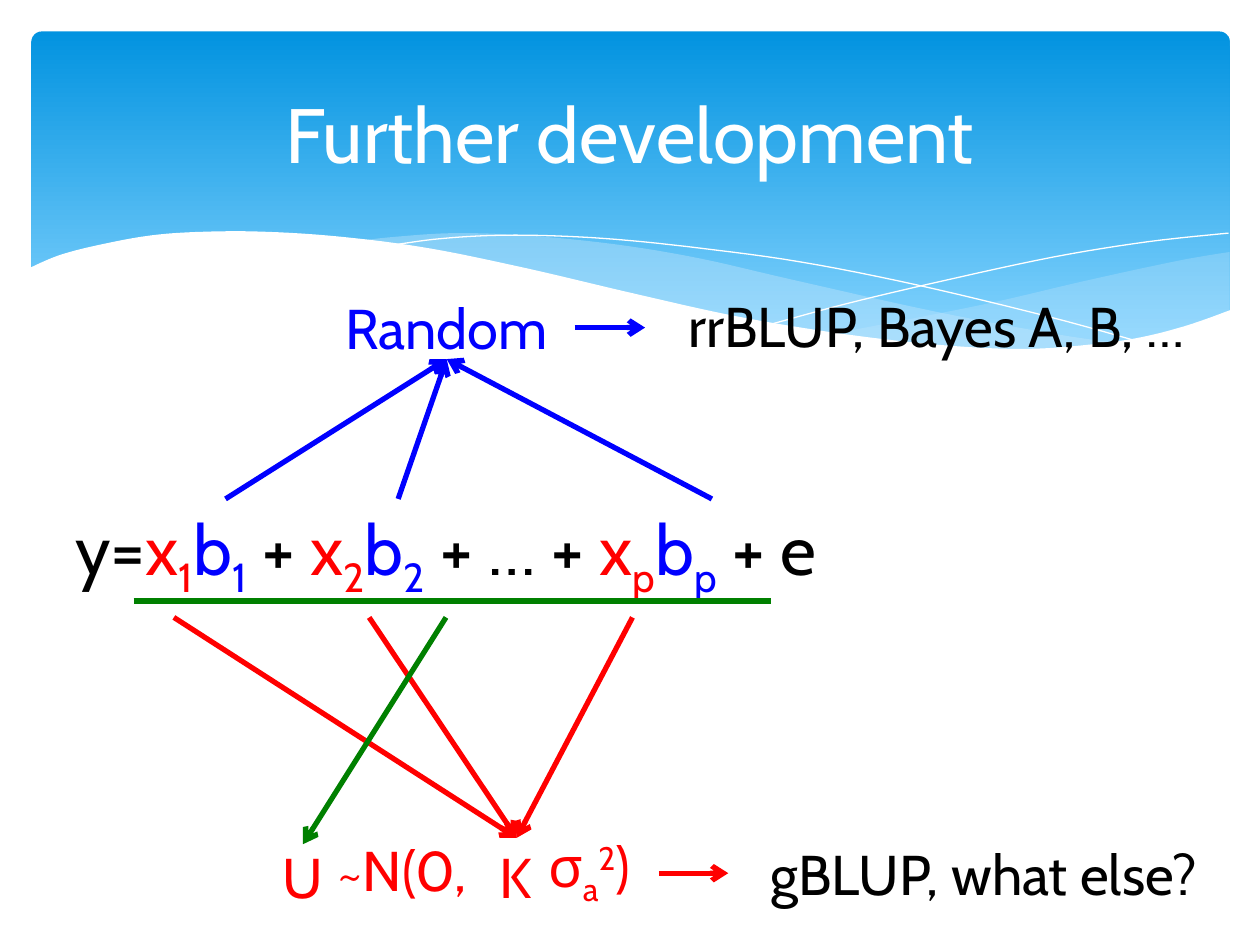
from typing import NamedTuple, Optional

from lxml import etree
from pptx import Presentation
from pptx.dml.color import RGBColor
from pptx.enum.shapes import MSO_CONNECTOR, MSO_SHAPE
from pptx.enum.text import MSO_ANCHOR, PP_ALIGN
from pptx.oxml.ns import qn
from pptx.util import Inches, Pt

STRAIGHT = MSO_CONNECTOR.STRAIGHT
LEFT, CENTER = PP_ALIGN.LEFT, PP_ALIGN.CENTER
TOP, MIDDLE = MSO_ANCHOR.TOP, MSO_ANCHOR.MIDDLE

FONT = "Cabin"
BLACK = RGBColor(0x00, 0x00, 0x00)
WHITE = RGBColor(0xFF, 0xFF, 0xFF)
RED = RGBColor(0xFF, 0x00, 0x00)
BLUE = RGBColor(0x00, 0x00, 0xFF)
GREEN = RGBColor(0x00, 0x80, 0x00)
SKY_DARK = RGBColor(0x02, 0x93, 0xE0)
SKY_LIGHT = RGBColor(0x83, 0xD3, 0xFE)
MIST = RGBColor(0xC6, 0xE7, 0xFC)

# The slide is a grid of 100 columns by 75 rows
COLS, ROWS = 100, 75
CELL = Inches(0.1)
SUB, SUP = -25, 30


class Run(NamedTuple):
    text: str
    color: RGBColor
    baseline: int = 0


class Label(NamedTuple):
    at: tuple  # column, row, columns wide, rows high
    runs: list
    size: int = 32
    align: PP_ALIGN = CENTER
    anchor: MSO_ANCHOR = MIDDLE


class Wave(NamedTuple):
    edges: list  # each edge is a smooth curve through its knots
    fill: Optional[RGBColor] = None
    opacity: int = 100


class Link(NamedTuple):
    start: tuple
    end: tuple
    color: RGBColor
    arrow: bool = True
    target: Optional[str] = None  # label whose top or bottom it reaches
    site: int = 0


def grid(*values: float) -> list:
    return [round(v * CELL) for v in values]


def smooth(knots: list, steps: int = 6) -> list:
    """Points of a Catmull-Rom curve through the knots."""
    ends = [knots[0], *knots, knots[-1]]
    points = [knots[0]]
    for a, b, c, d in zip(ends, ends[1:], ends[2:], ends[3:]):
        for t in (k / steps for k in range(1, steps + 1)):
            points.append(tuple(
                (2 * q + (r - p) * t + (2 * p - 5 * q + 4 * r - s) * t ** 2
                 + (3 * q - p - 3 * r + s) * t ** 3) / 2
                for p, q, r, s in zip(a, b, c, d)))
    return points


def draw_wave(slide, wave: Wave) -> None:
    points = [grid(*pt) for edge in wave.edges for pt in smooth(edge)]
    builder = slide.shapes.build_freeform(*points[0], scale=1.0)
    builder.add_line_segments(points[1:], close=wave.fill is not None)
    sp = builder.convert_to_shape()
    sp.shadow.inherit = False
    if wave.fill is None:
        sp.fill.background()
        sp.line.color.rgb = WHITE
        sp.line.width = Pt(0)
        return
    sp.fill.solid()
    sp.fill.fore_color.rgb = wave.fill
    sp.line.fill.background()
    if wave.opacity < 100:
        color = sp.element.spPr.find(qn("a:solidFill"))[0]
        etree.SubElement(color, qn("a:alpha")).set("val", str(wave.opacity * 1000))


def draw_label(slide, label: Label):
    sp = slide.shapes.add_textbox(*grid(*label.at))
    tf = sp.text_frame
    tf.word_wrap = True
    tf.vertical_anchor = label.anchor
    p = tf.paragraphs[0]
    p.alignment = label.align
    p.font.size, p.font.name = Pt(label.size), FONT
    if len({run.color for run in label.runs}) == 1:
        p.font.color.rgb = label.runs[0].color
    for run in label.runs:
        r = p.add_run()
        r.text = run.text
        r.font.color.rgb = run.color
        if run.baseline:
            r.font._element.set("baseline", str(run.baseline * 1000))
    return sp


def draw_link(slide, link: Link, labels: dict) -> None:
    line = slide.shapes.add_connector(STRAIGHT, *grid(*link.start, *link.end))
    line.line.color.rgb = link.color
    line.line.width = Pt(3)
    if link.target:
        line.end_connect(labels[link.target], link.site)
    if link.arrow:
        etree.SubElement(line.line._get_or_add_ln(), qn("a:tailEnd")).set("type", "arrow")
    etree.SubElement(line.element.spPr, qn("a:effectLst"))


# Header waves, from back to front
WAVES = [
    Wave([[(97.6, 20), (93.5, 20.7), (86.1, 22.3), (77.9, 24.2), (66.1, 26.5)],
          [(66.1, 26.5), (71.9, 27.2), (76.9, 27.7), (81.4, 27.8), (86.3, 27.5),
           (90.5, 26.9), (94.2, 25.9), (97.6, 24.7)]], MIST, 29),
    Wave([[(89.3, 27.3), (83.7, 26.5), (74.1, 24.7), (62.9, 22.2), (55.5, 20.5),
           (48.9, 19.4), (42, 18.7), (36.1, 18.5), (31.3, 18.8), (28.6, 19.1)],
          [(28.6, 19.1), (36.2, 20.3), (44.9, 22.2), (56.6, 24.8), (65, 26.4),
           (72.2, 27.4), (78.5, 27.8), (83.8, 27.8), (89.3, 27.3)]], MIST, 40),
    Wave([[(30.9, 19.5), (34.4, 19), (38.7, 18.7), (43.3, 18.7), (48.9, 19),
           (55.6, 19.7), (63.6, 20.8), (72.7, 22.6), (83.1, 25.1), (90.7, 27.2)]]),
    Wave([[(61.3, 25.7), (67.2, 24.1), (74.8, 22.3), (83.6, 20.4), (91, 19.2),
           (97.5, 18.5)]]),
    Wave([[(2.3, 21.3), (4.6, 20.3), (7.6, 19.5), (11.9, 18.7), (16.1, 18.4),
           (21.1, 18.4), (27.1, 18.8), (34, 19.7), (41.8, 21.3), (50.3, 23.3),
           (57.9, 25), (64.8, 26.2), (70.8, 27), (76.1, 27.5), (80.9, 27.7),
           (85, 27.5), (89.9, 26.9), (94, 25.9), (97.7, 24.6)],
          [(97.7, 32.9)], [(2.3, 32.9)]], WHITE),
]

# Model equation: x and b share each index
TERMS = {i: [Run("x", RED), Run(i, RED, SUB), Run("b", BLUE), Run(i, BLUE, SUB)]
         for i in "12p"}
EQUATION = [Run("y=", BLACK), *TERMS["1"], Run(" + ", BLACK), *TERMS["2"],
            Run(" + … + ", BLACK), *TERMS["p"], Run(" + e", BLACK)]

LABELS = {
    "equation": Label((5, 39.6, 74, 7.7), EQUATION, 40, LEFT, TOP),
    "normal": Label((25.8, 66.5, 12.5, 5), [Run("~N(0,", RED)], align=LEFT),
    "random": Label((19.7, 23.5, 31.5, 5), [Run("Random", BLUE)]),
    "u": Label((20.2, 67, 7.7, 5), [Run("U", RED)]),
    "k": Label((37.4, 67, 7.1, 5), [Run("K", RED)]),
    "variance": Label((41, 66.5, 11.5, 5), [Run("σ", RED), Run("a", RED, SUB),
                                            Run("2", RED, SUP), Run(")", RED)]),
    "marker methods": Label((51, 23.3, 46.7, 5), [Run("rrBLUP, Bayes A, B, …", BLACK)]),
    "kinship methods": Label((60.2, 66.8, 37.6, 5), [Run("gBLUP, what else?", BLACK)],
                             align=LEFT),
}

LINKS = [
    *(Link((x, 49), (41, 66.5), RED) for x in (50.2, 29.3, 13.8)),
    *(Link((x, 39.6), (35.4, 28.5), BLUE, target="random", site=2)
      for x in (17.9, 31.6, 56.5)),
    Link((10.6, 47.7), (61.2, 47.7), GREEN, arrow=False),
    Link((35.4, 49), (24, 67), GREEN, target="u"),
    Link((45.6, 26), (51.2, 26), BLUE),
    Link((52.3, 69.3), (57.8, 69.3), RED),
]


def main() -> None:
    prs = Presentation()
    prs.slide_width, prs.slide_height = grid(COLS, ROWS)
    s = prs.slides.add_slide(prs.slide_layouts[5])

    # Header band
    band = s.shapes.add_shape(MSO_SHAPE.ROUNDED_RECTANGLE, *grid(2.5, 2.5, 95.1, 27))
    band.adjustments[0] = 0.03
    band.shadow.inherit = False
    band.line.fill.background()
    band.fill.gradient()
    band.fill.gradient_angle = 270
    for stop, color, position in zip(band.fill.gradient_stops, (SKY_DARK, SKY_LIGHT), (0, 0.9)):
        stop.color.rgb = color
        stop.position = position
    for wave in WAVES:
        draw_wave(s, wave)

    # Title, brought in front of the header
    title = s.shapes.title
    title.left, title.top, title.width, title.height = grid(5, 3.7, 90, 13.7)
    title.text_frame.text = "Further development"
    title.text_frame.vertical_anchor = MIDDLE
    p = title.text_frame.paragraphs[0]
    p.alignment = CENTER
    p.font.size, p.font.name = Pt(44), FONT
    p.font.color.rgb = WHITE
    title.element.getparent().append(title.element)

    # Equation, labels and the arrows between them
    labels = {name: draw_label(s, label) for name, label in LABELS.items()}
    for link in LINKS:
        draw_link(s, link, labels)

    prs.save("out.pptx")


if __name__ == "__main__":
    main()
